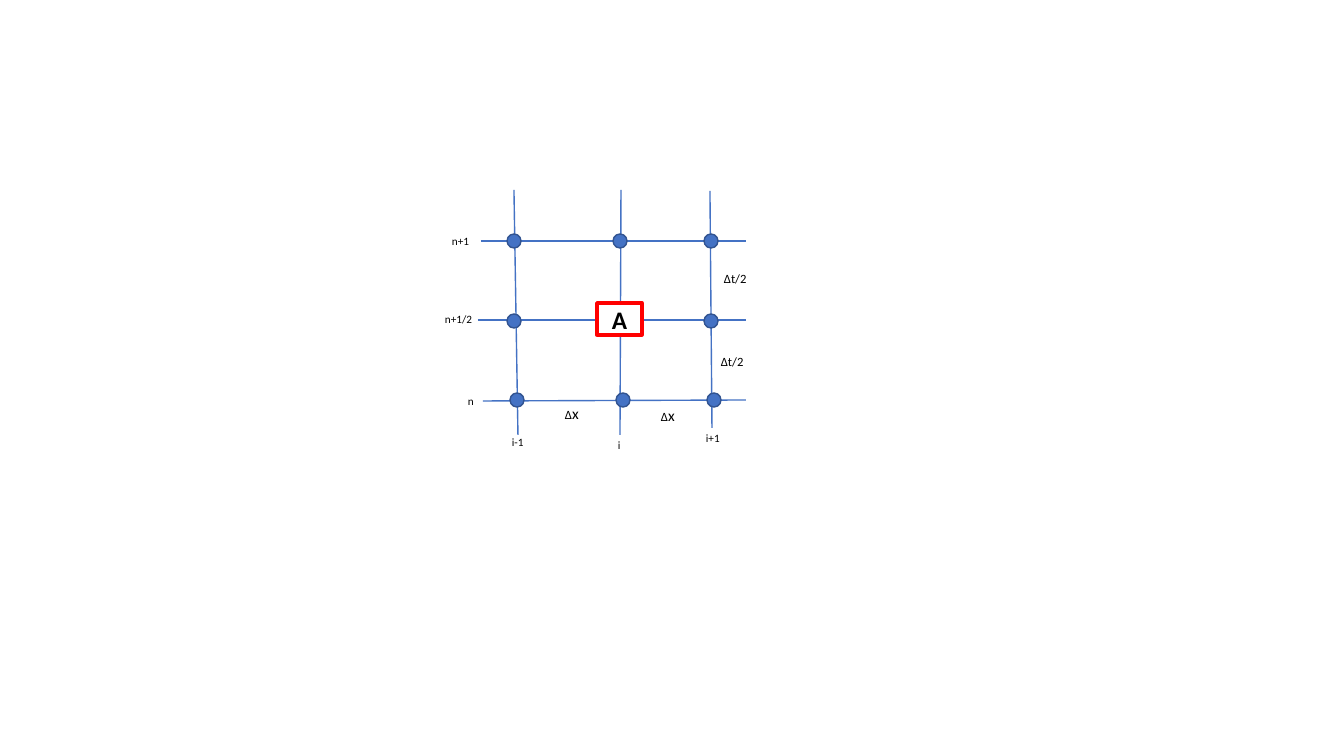
from pptx import Presentation
from pptx import util as u
from pptx.dml.color import RGBColor
from pptx.enum import shapes, text
from pptx.oxml.ns import qn
from lxml import etree

PX = 914400 / 100.8
FONT = "Calibri"
COLORS = {"grid": "4472C4", "node_edge": "325491", "mark": "FF0000",
          "white": "FFFFFF", "black": "000000"}


def px(n):
    return u.Emu(round(n * PX))


def rgb(name):
    return RGBColor.from_string(COLORS[name])


def add_run(p, words, size, bold=False):
    r = p.add_run()
    r.text = words
    r.font.name, r.font.size, r.font.bold = FONT, u.Pt(size), bold
    r.font.color.rgb = rgb("black")


def add_line(s, x1, y1, x2, y2):
    line = s.shapes.add_connector(shapes.MSO_CONNECTOR.STRAIGHT,
                                  px(x1), px(y1), px(x2), px(y2))
    line.line.color.rgb = rgb("grid")
    line.line.width = u.Pt(1)
    etree.SubElement(line._element.spPr, qn("a:effectLst"))


def add_shape(s, kind, x, y, w, h, fill, edge, width):
    sp = s.shapes.add_shape(kind, px(x), px(y), px(w), px(h))
    sp.shadow.inherit = False
    sp.fill.solid()
    sp.fill.fore_color.rgb = rgb(fill)
    sp.line.color.rgb = rgb(edge)
    sp.line.width = u.Pt(width)
    return sp


def add_label(s, x, y, w, h, runs, wrap):
    tf = s.shapes.add_textbox(px(x), px(y), px(w), px(h)).text_frame
    tf.word_wrap = wrap
    tf.auto_size = text.MSO_AUTO_SIZE.SHAPE_TO_FIT_TEXT
    for words, size in runs:
        add_run(tf.paragraphs[0], words, size)


def stencil(s, left, top):
    # Grid lines: time levels, then space positions
    for x1, y1, x2, y2 in [(46, 52, 311, 52), (43, 131, 311, 131), (48, 212, 311, 211),
                           (79, 1, 83, 246), (186, 1, 185, 246), (275, 2, 277, 239)]:
        add_line(s, left + x1, top + y1, left + x2, top + y2)

    # Central point A
    sp = add_shape(s, shapes.MSO_SHAPE.RECTANGLE, left + 162, top + 114, 45, 32,
                   "white", "mark", 2.5)
    tf = sp.text_frame
    tf.vertical_anchor = text.MSO_ANCHOR.MIDDLE
    p = tf.paragraphs[0]
    p.alignment = text.PP_ALIGN.CENTER
    add_run(p, "A", 18, bold=True)

    # Nodes around A; the bottom row sits slightly to the right
    for row, shift in enumerate((0, 0, 3)):
        for col, x in enumerate((72, 178, 269)):
            if (row, col) != (1, 1):
                add_shape(s, shapes.MSO_SHAPE.OVAL, left + x + shift,
                          top + 45 + round(79.5 * row), 14, 14, "grid", "node_edge", 1)

    # Step sizes
    for x, y in [(120, 210), (216, 212)]:
        add_label(s, left + x, top + y, 34, 29, [("∆", 9), ("x", 11)], False)
    for x, y in [(279, 77), (276, 160)]:
        add_label(s, left + x, top + y, 43, 25, [("∆t/2", 9)], False)

    # Index labels
    for words, x, y, w in [("i+1", 261, 237, 47), ("i", 173, 244, 47), ("i-1", 67, 241, 47),
                           ("n", 23, 200, 47), ("n+1/2", 0, 118, 58), ("n+1", 7, 40, 58)]:
        add_label(s, left + x, top + y, w, 24, [(words, 8)], True)


prs = Presentation()
prs.slide_width, prs.slide_height = px(1344), px(756)
s = prs.slides.add_slide(prs.slide_layouts[6])
stencil(s, 435, 189)
prs.save("out.pptx")
